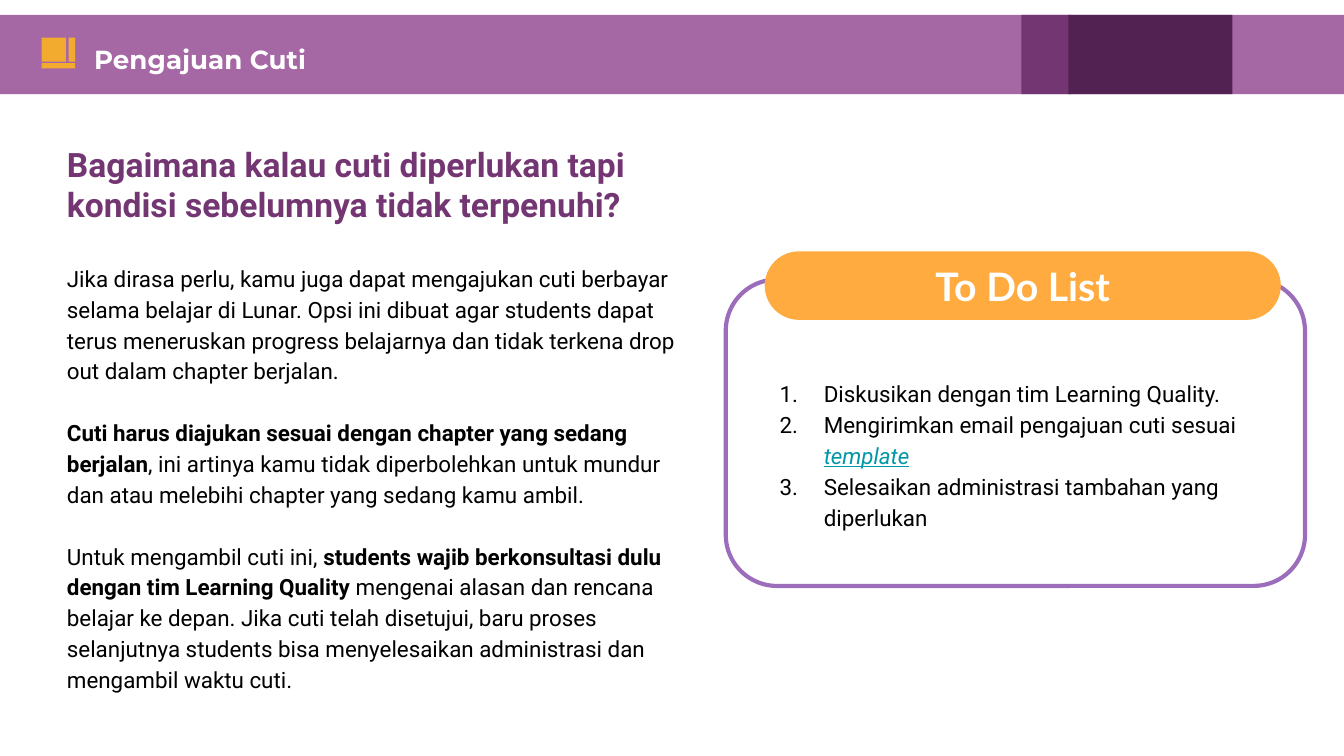
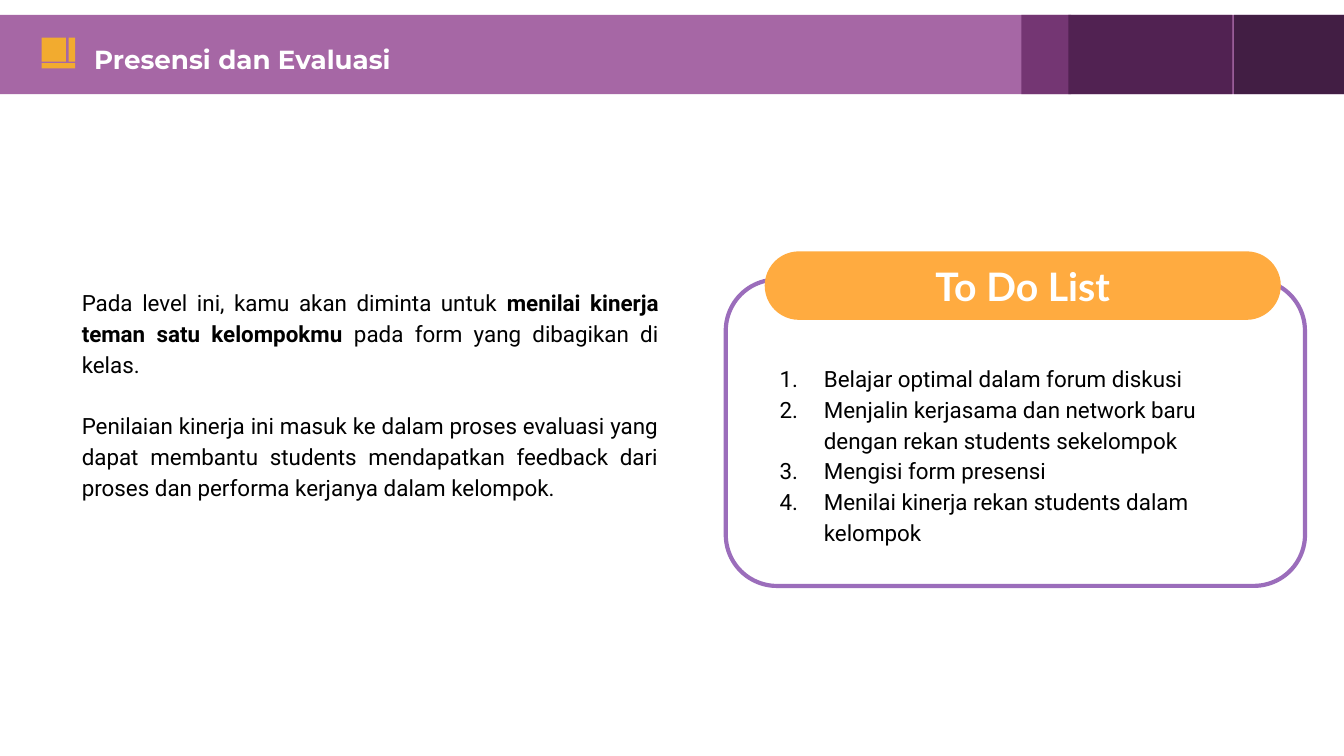
import pptx
import pptx.dml.color
import pptx.enum.shapes
import pptx.enum.text
import pptx.oxml.ns
import pptx.util
from lxml import etree
from pptx.util import Inches

RGBColor = pptx.dml.color.RGBColor
Shape = pptx.enum.shapes.MSO_SHAPE
Align = pptx.enum.text.PP_ALIGN
Anchor = pptx.enum.text.MSO_ANCHOR

WHITE = RGBColor(0xFF, 0xFF, 0xFF)
BLACK = RGBColor(0x00, 0x00, 0x00)
MAUVE = RGBColor(0xA6, 0x67, 0xA5)
PURPLE = RGBColor(0x74, 0x36, 0x73)
PLUM = RGBColor(0x51, 0x22, 0x52)
DARK_PLUM = RGBColor(0x42, 0x1E, 0x44)
GOLD = RGBColor(0xF2, 0xAB, 0x2F)
ORANGE = RGBColor(0xFF, 0xAB, 0x40)
LILAC = RGBColor(0x9B, 0x6D, 0xBB)
TEAL = RGBColor(0x00, 0x97, 0xA7)

BODY_FONT = "Roboto"
LINE_SPACING = 1.15
PARAGRAPH_GAP = 16.5


class Lesson:
    def __init__(self):
        self.deck = pptx.Presentation()
        self.deck.slide_width = Inches(10)
        self.deck.slide_height = Inches(10) * 9 // 16
        self.page = None

    def start(self, title, dark_end=False):
        self.page = self.deck.slides.add_slide(self.deck.slide_layouts[1])
        bands = [(0, 10, MAUVE), (7.6, 0.37, PURPLE), (7.95, 1.22, PLUM)]
        if dark_end:
            bands.insert(1, (9.18, 0.82, DARK_PLUM))
        for left, width, color in bands:
            self.block(left, 0.11, width, 0.59, color)
        for left, top, width, height in [
            (0.31, 0.28, 0.18, 0.18),
            (0.51, 0.28, 0.05, 0.18),
            (0.31, 0.47, 0.25, 0.04),
        ]:
            self.block(left, top, width, height, GOLD)
        heading = self.placeholder(self.page.shapes.title, 0.63, 0.28, 7.98, 0.25)
        frame = self.frame(heading, Anchor.TOP, 0.07, 0.04)
        para = frame.paragraphs[0]
        para.alignment = Align.LEFT
        self.span(para, "Montserrat", 14, WHITE, title, bold=True)

    def block(self, left, top, width, height, fill, roundness=None, line=None):
        kind = Shape.RECTANGLE if roundness is None else Shape.ROUNDED_RECTANGLE
        shape = self.page.shapes.add_shape(
            kind, Inches(left), Inches(top), Inches(width), Inches(height))
        shape.shadow.inherit = False
        shape.fill.solid()
        shape.fill.fore_color.rgb = fill
        if roundness is not None:
            shape.adjustments[0] = roundness
        if line is None:
            shape.line.fill.background()
        else:
            shape.line.color.rgb = line
            shape.line.width = pptx.util.Pt(2.25)
        return shape

    def placeholder(self, holder, left, top, width, height):
        holder.left, holder.top = Inches(left), Inches(top)
        holder.width, holder.height = Inches(width), Inches(height)
        holder.element.getparent().append(holder.element)
        return holder

    def frame(self, box, anchor, side=0.1, edge=0.1):
        frame = box.text_frame
        frame.word_wrap = True
        frame.auto_size = pptx.enum.text.MSO_AUTO_SIZE.NONE
        frame.vertical_anchor = anchor
        frame.margin_left = frame.margin_right = Inches(side)
        frame.margin_top = frame.margin_bottom = Inches(edge)
        return frame

    def span(self, para, font, size, color, text, bold=False, link=False):
        span = para.add_run()
        span.text = text
        span.font.name = font
        span.font.size = pptx.util.Pt(size)
        span.font.color.rgb = color
        span.font.bold = bold
        span.font.italic = link
        span.font.underline = link

    def body(self, para, spans):
        para.line_spacing = LINE_SPACING
        for text, style in spans:
            self.span(para, BODY_FONT, 12, TEAL if style == "link" else BLACK,
                      text, bold=style == "bold", link=style == "link")

    def text(self, left, top, width, height, paragraphs, heading=None,
             align=Align.LEFT):
        box = self.page.shapes.add_textbox(
            Inches(left), Inches(top), Inches(width), Inches(height))
        frame = self.frame(box, Anchor.TOP)
        para = frame.paragraphs[0]
        gap = 0
        if heading:
            self.span(para, BODY_FONT, 18, PURPLE, heading, bold=True)
            para = frame.add_paragraph()
            gap = 19.5
        for index, spans in enumerate(paragraphs):
            if index:
                para = frame.add_paragraph()
                gap = PARAGRAPH_GAP
            para.alignment = align
            para.space_before = pptx.util.Pt(gap)
            self.body(para, spans)

    def number(self, para):
        properties = para._p.get_or_add_pPr()
        properties.set("marL", str(Inches(0.5)))
        properties.set("indent", str(Inches(-0.33)))
        qn = pptx.oxml.ns.qn
        color = etree.SubElement(properties, qn("a:buClr"))
        etree.SubElement(color, qn("a:srgbClr"), val=str(BLACK))
        etree.SubElement(properties, qn("a:buFont"), typeface=BODY_FONT)
        etree.SubElement(properties, qn("a:buAutoNum"), type="arabicPeriod")

    def to_do(self, items):
        self.block(5.4, 2.08, 4.31, 2.28, WHITE, roundness=0.167, line=LILAC)
        pill = self.block(5.69, 1.87, 3.84, 0.51, ORANGE, roundness=0.5)
        para = self.frame(pill, Anchor.MIDDLE).paragraphs[0]
        para.alignment = Align.CENTER
        self.span(para, "Lato", 21, WHITE, "To Do List", bold=True)
        box = self.placeholder(self.page.placeholders[1], 5.53, 2.47, 4.05, 1.81)
        frame = self.frame(box, Anchor.MIDDLE)
        for index, spans in enumerate(items):
            para = frame.add_paragraph() if index else frame.paragraphs[0]
            self.number(para)
            para.space_before = pptx.util.Pt(0)
            self.body(para, spans)


def main():
    lesson = Lesson()

    lesson.start("Pengajuan Cuti")
    lesson.text(0.4, 0.97, 4.86, 4.3, [
        [("Jika dirasa perlu, kamu juga dapat mengajukan cuti berbayar selama "
          "belajar di Lunar. Opsi ini dibuat agar students dapat terus "
          "meneruskan progress belajarnya dan tidak terkena drop out dalam "
          "chapter berjalan.", "")],
        [("Cuti harus diajukan sesuai dengan chapter yang sedang berjalan", "bold"),
         (", ini artinya kamu tidak diperbolehkan untuk mundur dan atau "
          "melebihi chapter yang sedang kamu ambil.", "")],
        [("Untuk mengambil cuti ini, ", ""),
         ("students wajib berkonsultasi dulu dengan tim Learning Quality", "bold"),
         (" mengenai alasan dan rencana belajar ke depan. Jika cuti telah "
          "disetujui, baru proses selanjutnya students bisa menyelesaikan "
          "administrasi dan mengambil waktu cuti.", "")],
    ], heading="Bagaimana kalau cuti diperlukan tapi kondisi sebelumnya tidak terpenuhi?")
    lesson.to_do([
        [("Diskusikan dengan tim Learning Quality.", "")],
        [("Mengirimkan email pengajuan cuti sesuai ", ""), ("template", "link")],
        [("Selesaikan administrasi tambahan yang diperlukan", "")],
    ])

    lesson.start("Presensi dan Evaluasi", dark_end=True)
    lesson.text(0.51, 2.02, 4.49, 1.83, [
        [("Pada level ini, kamu akan diminta untuk ", ""),
         ("menilai kinerja teman satu kelompokmu ", "bold"),
         ("pada form yang dibagikan di kelas.", "")],
        [("Penilaian kinerja ini masuk ke dalam proses evaluasi yang dapat "
          "membantu students mendapatkan feedback dari proses dan performa "
          "kerjanya dalam kelompok.", "")],
    ], align=Align.JUSTIFY)
    lesson.to_do([
        [("Belajar optimal dalam forum diskusi", "")],
        [("Menjalin kerjasama dan network baru dengan rekan students sekelompok", "")],
        [("Mengisi form presensi", "")],
        [("Menilai kinerja rekan students dalam kelompok", "")],
    ])

    lesson.deck.save("out.pptx")


if __name__ == "__main__":
    main()
